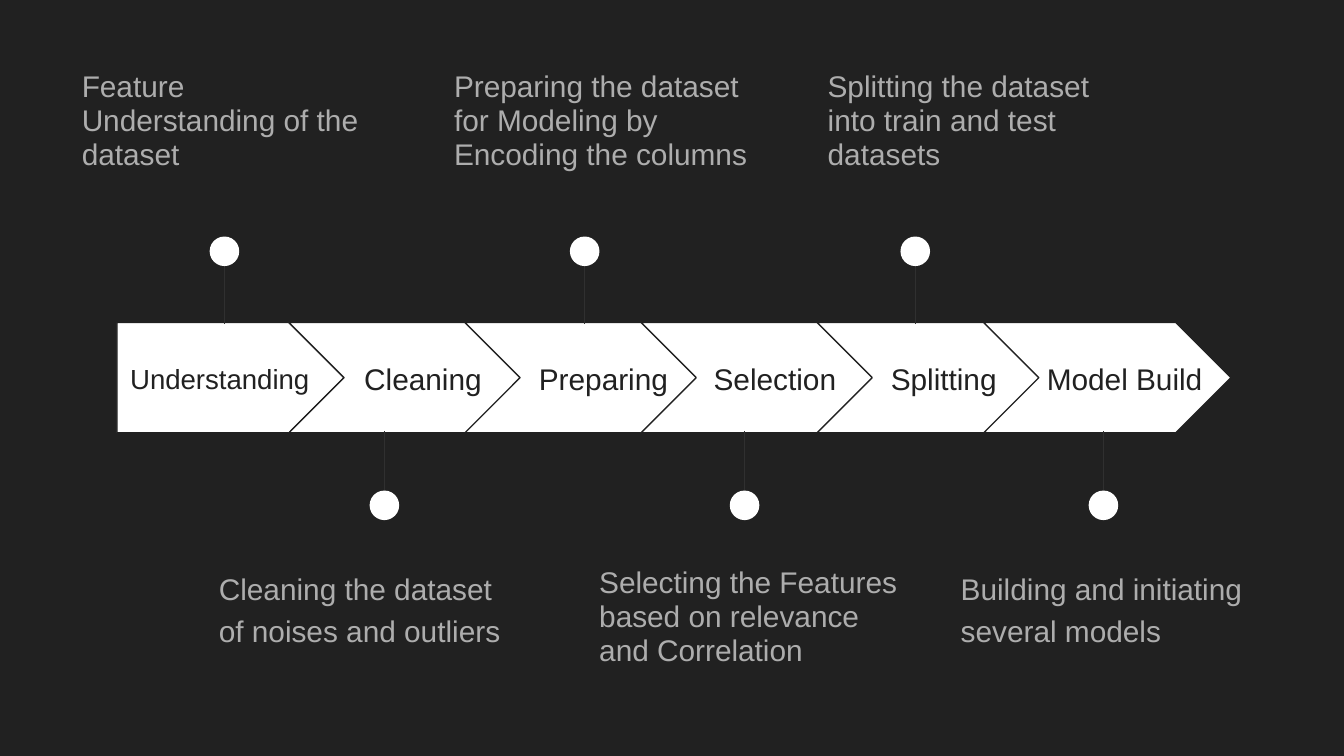
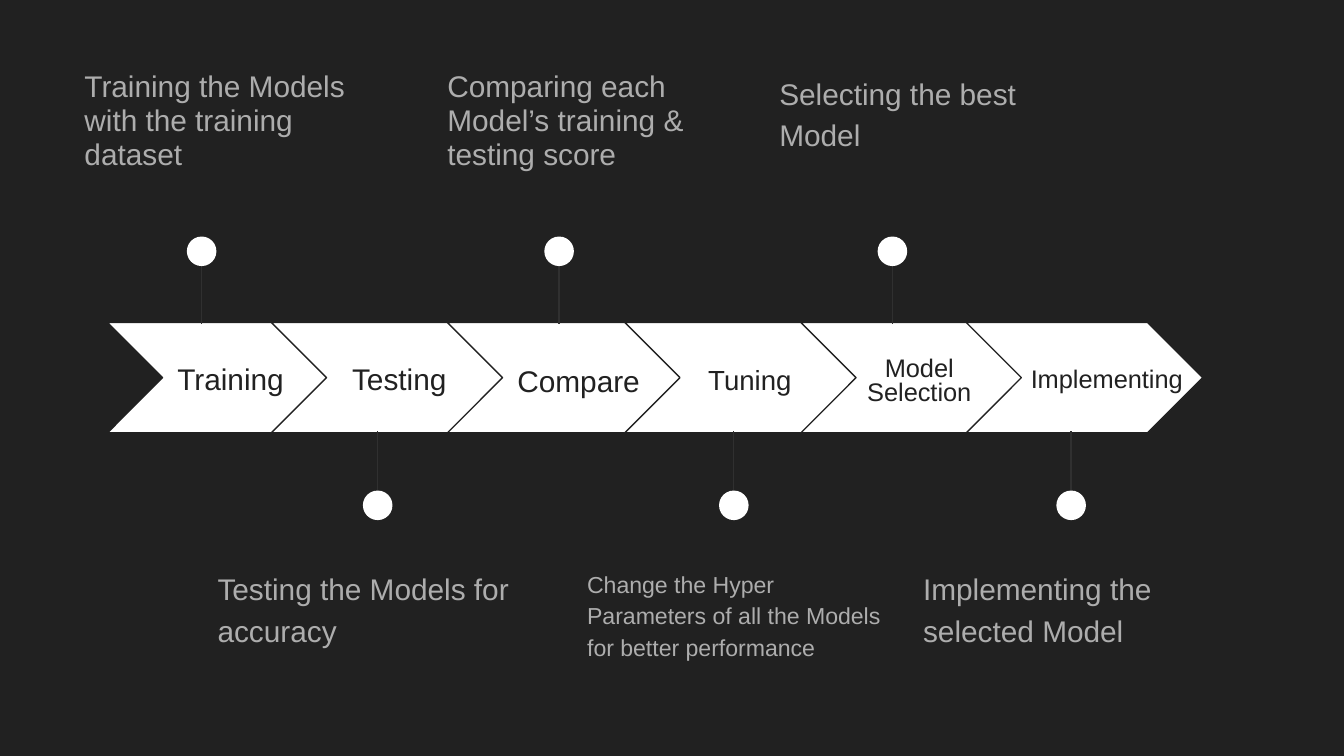
from dataclasses import dataclass

from lxml import etree
from pptx import Presentation
from pptx import util as u
from pptx.dml.color import RGBColor
from pptx.enum import shapes, text
from pptx.oxml.ns import qn

HUES = {"back": "212121", "white": "FFFFFF", "stem": "303030", "note": "ADADAD"}
FONT = "Arial"
WIDE = 10
HIGH = WIDE * 9 / 16
BAND_TOP, BAND_HIGH = 2.4, 0.82
DOT = 0.22
SPACE = 0.06  # indent unit of a label
TIGHT, LOOSE = 0.95, 1.15


@dataclass
class Step:
    """One arrow with its label, pin and note; lengths in inches."""
    name: str
    left: float
    wide: float
    tag: float  # left edge of the label
    pin: float  # centre of the pin
    edge: float  # left edge of the note
    note: str
    lead: float = TIGHT
    size: float = 16
    small: float = 16  # size of the note
    pad: int = 0  # label indent, in units of SPACE
    box: tuple = (2.56, 1.44, 0.51)  # label top, width, height
    gap: float = 1.0
    align: text.PP_ALIGN = text.PP_ALIGN.LEFT
    kind: shapes.MSO_SHAPE = shapes.MSO_SHAPE.CHEVRON


PREP = [
    Step("Understanding", 0.87, 1.69, 0.87, 1.67, 0.51,
         "Feature Understanding of the dataset", size=14.8,
         box=(2.56, 1.59, 0.51), kind=shapes.MSO_SHAPE.PENTAGON),
    Step("Cleaning", 2.15, 1.78, 2.49, 2.86, 1.53,
         "Cleaning the dataset of noises and outliers", LOOSE, pad=2),
    Step("Preparing", 3.46, 1.78, 3.79, 4.35, 3.28,
         "Preparing the dataset for Modeling by Encoding the columns", pad=2),
    Step("Selection", 4.77, 1.78, 5.09, 5.54, 4.36,
         "Selecting the Features based on relevance and Correlation", pad=2),
    Step("Splitting", 6.08, 1.69, 6.53, 6.81, 6.06,
         "Splitting the dataset into train and test datasets"),
    Step("Model Build", 7.32, 1.84, 7.69, 8.21, 7.05,
         "Building and initiating several models", LOOSE,
         box=(2.56, 1.49, 0.51)),
]
MODEL = [
    Step("Training", 0.8, 1.65, 1.04, 1.5, 0.53,
         "Training the Models with the training dataset", pad=3),
    Step("Testing", 2.02, 1.76, 2.34, 2.81, 1.52,
         "Testing the Models for accuracy", LOOSE, pad=3),
    Step("Compare", 3.33, 1.76, 3.69, 4.16, 3.23,
         "Comparing each Model’s training & testing score", pad=1,
         box=(2.59, 1.23, 0.48)),
    Step("Tuning", 4.65, 1.76, 4.99, 5.46, 4.27,
         "Change the Hyper Parameters of all the Models for better performance",
         LOOSE, size=14.8, small=12.4, pad=3, box=(2.64, 1.23, 0.41), gap=0.8),
    Step("Model Selection", 5.96, 1.65, 6.12, 6.64, 5.7,
         "Selecting the best Model", LOOSE, size=13.6,
         box=(2.56, 1.44, 0.57), gap=0.8, align=text.PP_ALIGN.CENTER),
    Step("Implementing", 7.19, 1.76, 7.51, 7.97, 6.77,
         "Implementing the selected Model", LOOSE, size=13.6, pad=1),
]


def hue(name):
    return RGBColor.from_string(HUES[name])


def inches(*nums):
    return [u.Inches(n) for n in nums]


def write(slide, words, area, size=16, color="back", lead=1.0, after=0,
          pad=0.0, align=text.PP_ALIGN.LEFT, anchor=text.MSO_ANCHOR.TOP):
    frame = slide.shapes.add_textbox(*inches(*area)).text_frame
    frame.word_wrap = True
    frame.vertical_anchor = anchor
    frame.margin_top = frame.margin_bottom = frame.margin_right = u.Inches(0.1)
    frame.margin_left = u.Inches(0.1 + pad)
    para = frame.paragraphs[0]
    para.alignment = align
    para.line_spacing = lead
    para.space_after = u.Pt(after)
    run = para.add_run()
    run.text = words
    run.font.name = FONT
    run.font.size = u.Pt(size)
    run.font.color.rgb = hue(color)


def solid(home, kind, area, line=None):
    """Add a white shape to home, outlined only if a line colour is named."""
    shape = home.shapes.add_shape(kind, *inches(*area))
    shape.shadow.inherit = False
    shape.fill.solid()
    shape.fill.fore_color.rgb = hue("white")
    if line:
        shape.line.color.rgb = hue(line)
        shape.line.width = u.Pt(0.75)
    else:
        shape.line.fill.background()


def pin(slide, x, above):
    """Group a stem and a dot that stand above or hang below the band."""
    start, end, top = (1.8, 2.41, 1.76) if above else (3.82, 3.21, 3.65)
    group = slide.shapes.add_group_shape()
    stem = group.shapes.add_connector(
        shapes.MSO_CONNECTOR.STRAIGHT, *inches(x, start, x, end))
    stem.line.color.rgb = hue("stem")
    stem.line.width = u.Pt(0.75)
    etree.SubElement(stem.element.spPr, qn("a:effectLst"))
    solid(group, shapes.MSO_SHAPE.OVAL, (x - DOT / 2, top, DOT, DOT))


def draw(slide, step, above):
    solid(slide, step.kind, (step.left, BAND_TOP, step.wide, BAND_HIGH), "back")
    top, wide, high = step.box
    write(slide, step.name, (step.tag, top, wide, high), size=step.size,
          lead=step.gap, pad=step.pad * SPACE, align=step.align,
          anchor=text.MSO_ANCHOR.MIDDLE)
    pin(slide, step.pin, above)
    write(slide, step.note, (step.edge, 0.42 if above else 4.11, 2.45, 0.99),
          size=step.small, color="note", lead=step.lead, after=12)


def page(deck, steps):
    slide = deck.slides.add_slide(deck.slide_layouts[6])
    slide.background.fill.solid()
    slide.background.fill.fore_color.rgb = hue("back")
    for i, step in enumerate(steps):
        draw(slide, step, above=i % 2 == 0)


def main():
    deck = Presentation()
    deck.slide_width, deck.slide_height = inches(WIDE, HIGH)
    for steps in (PREP, MODEL):
        page(deck, steps)
    deck.save("out.pptx")


if __name__ == "__main__":
    main()
